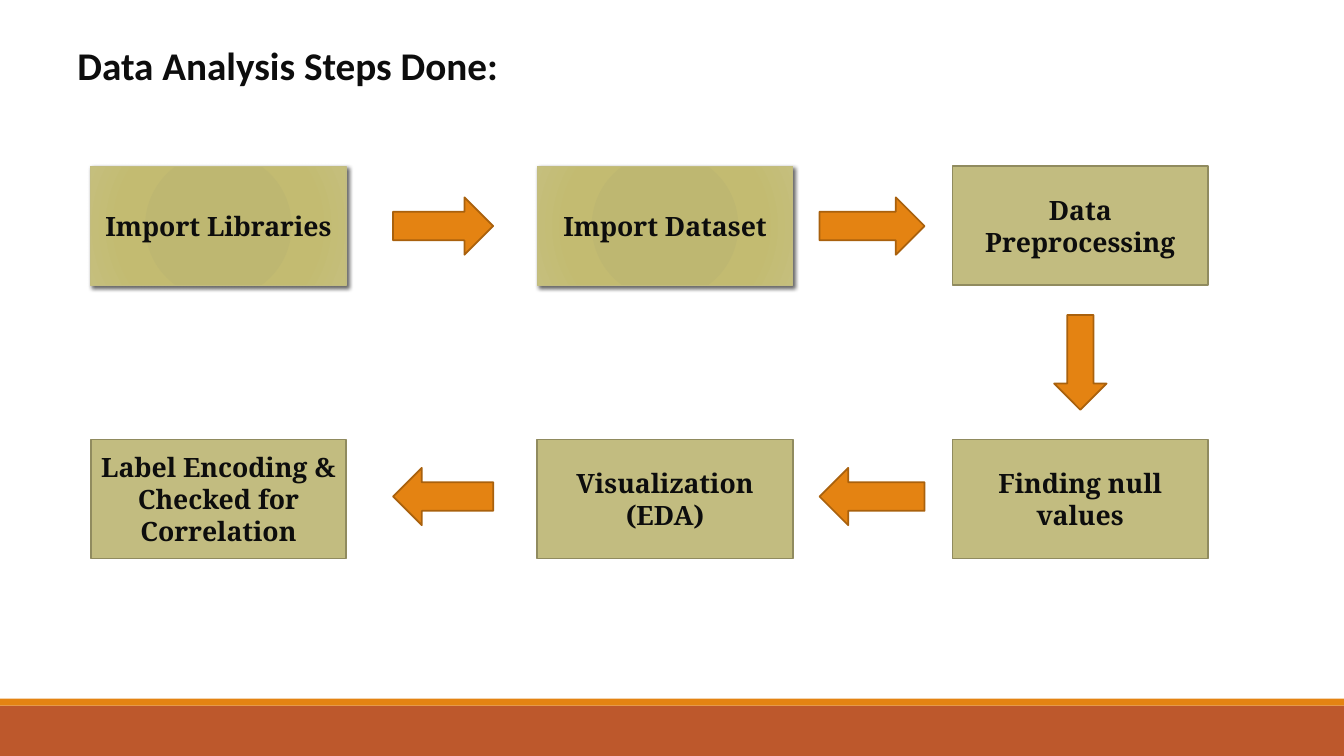
import pptx
import pptx.util
import pptx.dml.color
import pptx.enum.shapes
import pptx.enum.text
import pptx.oxml
import pptx.oxml.ns

Pt = pptx.util.Pt
MSO = pptx.enum.shapes.MSO_SHAPE
ALIGN = pptx.enum.text.PP_ALIGN
ANCHOR = pptx.enum.text.MSO_ANCHOR

COLORS = {
    "ink": "0D0D0D", "band": "BD582C", "orange": "E48312", "arrow_line": "A9610D",
    "box": "C2BC80", "box_line": "908B5F", "shadow": "000000",
}
GRADIENT = [(0, "BEB76E"), (34, "BEB771"), (70, "C3BB71"), (100, "C5BF7D")]

TITLE = "Data Analysis Steps Done:"
STEPS = [
    (0, 0, ["Import Libraries"], True),
    (1, 0, ["Import Dataset"], True),
    (2, 0, ["Data Preprocessing"], False),
    (2, 1, ["Finding null values"], False),
    (1, 1, ["Visualization", "(EDA)"], False),
    (0, 1, ["Label Encoding & Checked for Correlation"], False),
]
BOX_LEFTS = [64.8, 383.8, 680.4]
BOX_TOPS = [118.8, 314]
BOX_W, BOX_H = 182.5, 85
ARROW_COLUMNS = [(280.8, 71.5), (585.4, 75)]
ARROW_ROWS = [(MSO.RIGHT_ARROW, 141), (MSO.LEFT_ARROW, 334.2)]
ARROW_H = 41
DOWN_W, DOWN_H = 37.5, 67.7
BANDS = [("band", 504, 36), ("orange", 499, 5)]

TITLE_FONT = {"name": "Calibri", "size": Pt(28), "bold": True}
STEP_FONT = {"name": "Noto Serif", "size": Pt(19), "bold": True}

prs = pptx.Presentation()
prs.slide_width, prs.slide_height = Pt(960), Pt(540)
s = prs.slides.add_slide(prs.slide_layouts[6])


def rgb(name):
    return pptx.dml.color.RGBColor.from_string(COLORS[name])


def add_shape(kind, x, y, w, h, fill, line=None, width=1.25):
    sp = s.shapes.add_shape(kind, Pt(x), Pt(y), Pt(w), Pt(h))
    sp.shadow.inherit = False
    sp.fill.solid()
    sp.fill.fore_color.rgb = rgb(fill)
    if line:
        sp.line.color.rgb = rgb(line)
        sp.line.width = Pt(width)
    else:
        sp.line.fill.background()
    return sp


def write(tf, lines, font, align):
    tf.word_wrap = True
    for i, text in enumerate(lines):
        p = tf.paragraphs[0] if i == 0 else tf.add_paragraph()
        p.alignment = align
        r = p.add_run()
        r.text = text
        r.font.color.rgb = rgb("ink")
        for key, value in font.items():
            setattr(r.font, key, value)


def polish(sp):
    ns = pptx.oxml.ns.nsdecls("a")
    stops = "".join(
        f'<a:gs pos="{pos * 1000}"><a:srgbClr val="{c}"/></a:gs>' for pos, c in GRADIENT)
    grad = pptx.oxml.parse_xml(
        f'<a:gradFill {ns} rotWithShape="1"><a:gsLst>{stops}</a:gsLst><a:path path="circle">'
        '<a:fillToRect l="100000" t="100000" r="100000" b="100000"/></a:path></a:gradFill>')
    shadow = pptx.oxml.parse_xml(
        f'<a:outerShdw {ns} blurRad="{Pt(3)}" dist="{Pt(2)}" dir="{45 * 60000}" rotWithShape="0">'
        f'<a:srgbClr val="{COLORS["shadow"]}"><a:alpha val="60000"/></a:srgbClr></a:outerShdw>')
    spPr = sp._element.spPr
    solid = spPr.find(pptx.oxml.ns.qn("a:solidFill"))
    spPr.replace(solid, grad)
    spPr.find(pptx.oxml.ns.qn("a:effectLst")).append(shadow)


for fill, top, height in BANDS:
    add_shape(MSO.RECTANGLE, 0, top, 960, height, fill)

title = s.shapes.add_textbox(Pt(48.2), Pt(25.9), Pt(504.7), Pt(41))
write(title.text_frame, [TITLE], TITLE_FONT, ALIGN.LEFT)

for col, row, lines, raised in STEPS:
    line, width = ("box", 1) if raised else ("box_line", 1.25)
    sp = add_shape(MSO.RECTANGLE, BOX_LEFTS[col], BOX_TOPS[row], BOX_W, BOX_H,
                   "box", line, width)
    if raised:
        polish(sp)
    sp.text_frame.vertical_anchor = ANCHOR.MIDDLE
    write(sp.text_frame, lines, STEP_FONT, ALIGN.CENTER)

arrows = [(kind, x, y, w, ARROW_H) for kind, y in ARROW_ROWS for x, w in ARROW_COLUMNS]
down_x = BOX_LEFTS[2] + (BOX_W - DOWN_W) / 2
down_y = (BOX_TOPS[0] + BOX_H + BOX_TOPS[1] - DOWN_H) / 2
arrows.append((MSO.DOWN_ARROW, down_x, down_y, DOWN_W, DOWN_H))
for arrow in arrows:
    add_shape(*arrow, "orange", "arrow_line")

prs.save("out.pptx")
